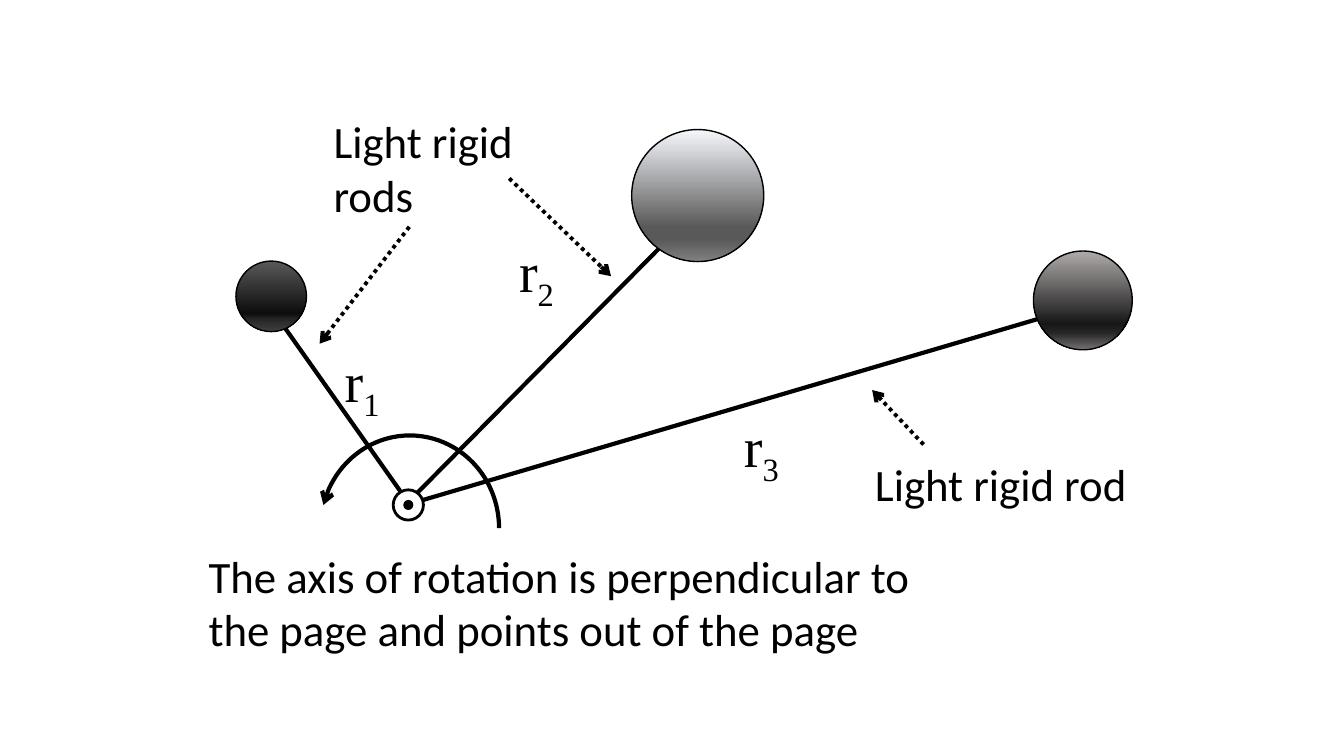
"""Draw three spheres on light rods that turn about a common axis."""
from lxml import etree
from pptx import Presentation
from pptx.dml.color import RGBColor
from pptx.enum.dml import MSO_LINE
from pptx.enum.shapes import MSO_CONNECTOR, MSO_SHAPE
from pptx.enum.text import MSO_AUTO_SIZE
from pptx.oxml.ns import qn
from pptx.util import Inches, Pt

STRAIGHT = MSO_CONNECTOR.STRAIGHT
ELLIPSE, ARC = MSO_SHAPE.OVAL, MSO_SHAPE.ARC
DOTTED = MSO_LINE.ROUND_DOT
FIT_SHAPE = MSO_AUTO_SIZE.SHAPE_TO_FIT_TEXT
BLACK, WHITE = "000000", "FFFFFF"

RODS = [
    ((4.03, 5), (6.67, 2.33)),
    ((4.06, 5), (10.65, 3.06)),
    ((4.06, 5), (2.69, 3.06)),
]
POINTERS = [
    ((5.05, 1.77), (6.06, 2.74)),
    ((4.06, 2.25), (3.17, 3.41)),
    ((9.16, 4.41), (8.65, 3.87)),
]
STOP_POSITIONS = (0, 74, 83, 100)
SPHERES = [
    ((10.74, 2.98), 0.98, ("AFABAB", "181717", "262626", "767171")),
    ((6.92, 1.94), 1.31, ("F6F8FC", "595959", "595959", "808080")),
    ((2.69, 2.94), 0.7, ("595959", "0D0D0D", "262626", "404040")),
]
AXIS = (4.05, 5.01)
RING_SIZE, DOT_SIZE = 0.3, 0.1
TURN_ARROW = (3.18, 4.32, 1.77, 1.84)
TURN_ANGLES = (117.01, 0)

RADIUS_FORMAT = {"name": "Times New Roman", "size": Pt(40)}
LABEL_FORMAT = {"name": "Calibri", "size": Pt(32)}
RADII = [("1", 3.32, 3.39), ("2", 5.05, 2.3), ("3", 7.28, 4.03)]
RADIUS_SIZE = (0.58, 0.77)
LABELS = [
    ("Light rigid rod", (8.58, 4.48, 2.73, 0.64), False),
    ("Light rigid rods", (3.21, 1.08, 2.47, 1.18), True),
    ("The axis of rotation is perpendicular to the page and points out of the page",
     (1.97, 5.39, 7.19, 1.18), True),
]


def colour(code):
    return RGBColor.from_string(code)


def style_line(shape, width, arrow_end=None, dash=None):
    shape.line.color.rgb = colour(BLACK)
    shape.line.width = Pt(width)
    if dash:
        shape.line.dash_style = dash
    if arrow_end:
        outline = shape._element.spPr.find(qn("a:ln"))
        etree.SubElement(outline, qn(f"a:{arrow_end}"), type="arrow")


def add_line(shapes, start, end, width, **style):
    line = shapes.add_connector(STRAIGHT, *map(Inches, start + end))
    etree.SubElement(line._element.spPr, qn("a:effectLst"))
    style_line(line, width, **style)


def add_circle(shapes, centre, size, fill=None):
    left, top = (middle - size / 2 for middle in centre)
    circle = shapes.add_shape(ELLIPSE, *map(Inches, (left, top, size, size)))
    circle.shadow.inherit = False
    if fill:
        circle.fill.solid()
        circle.fill.fore_color.rgb = colour(fill)
    return circle


def add_sphere(shapes, centre, size, shades):
    sphere = add_circle(shapes, centre, size)
    sphere.fill.gradient()
    sphere.fill.gradient_angle = 270
    stops = sphere._element.spPr.find(".//" + qn("a:gsLst"))
    for stop in list(stops):
        stops.remove(stop)
    for position, shade in zip(STOP_POSITIONS, shades):
        stop = etree.SubElement(stops, qn("a:gs"), pos=str(position * 1000))
        etree.SubElement(stop, qn("a:srgbClr"), val=shade)
    style_line(sphere, 1)


def add_text(shapes, place, words, text_format, wrap=False, subscript=None):
    box = shapes.add_textbox(*map(Inches, place))
    box.text_frame.word_wrap = wrap
    box.text_frame.auto_size = FIT_SHAPE
    para = box.text_frame.paragraphs[0]
    for part in filter(None, (words, subscript)):
        span = para.add_run()
        span.text = part
        span.font.color.rgb = colour(BLACK)
        for name, value in text_format.items():
            setattr(span.font, name, value)
    if subscript:
        span.font._element.set("baseline", "-25000")


def main():
    deck = Presentation()
    deck.slide_width, deck.slide_height = Inches(13.33), Inches(7.5)
    page = deck.slides.add_slide(deck.slide_layouts[6])
    diagram = page.shapes.add_group_shape().shapes

    for start, end in RODS:
        add_line(diagram, start, end, 3)
    for centre, size, shades in SPHERES:
        add_sphere(diagram, centre, size, shades)
    for number, left, top in RADII:
        add_text(diagram, (left, top, *RADIUS_SIZE), "r", RADIUS_FORMAT, subscript=number)
    for words, place, wrap in LABELS:
        add_text(diagram, place, words, LABEL_FORMAT, wrap)
    for start, end in POINTERS:
        add_line(diagram, start, end, 2.75, arrow_end="tailEnd", dash=DOTTED)

    turn = diagram.add_shape(ARC, *map(Inches, TURN_ARROW))
    turn.shadow.inherit = False
    turn.fill.background()
    for index, angle in enumerate(TURN_ANGLES):
        turn.adjustments[index] = angle
    style_line(turn, 3, arrow_end="headEnd")

    ring = add_circle(diagram, AXIS, RING_SIZE, WHITE)
    style_line(ring, 2)
    dot = add_circle(page.shapes, AXIS, DOT_SIZE, BLACK)
    dot.line.fill.background()

    deck.save("out.pptx")


if __name__ == "__main__":
    main()
